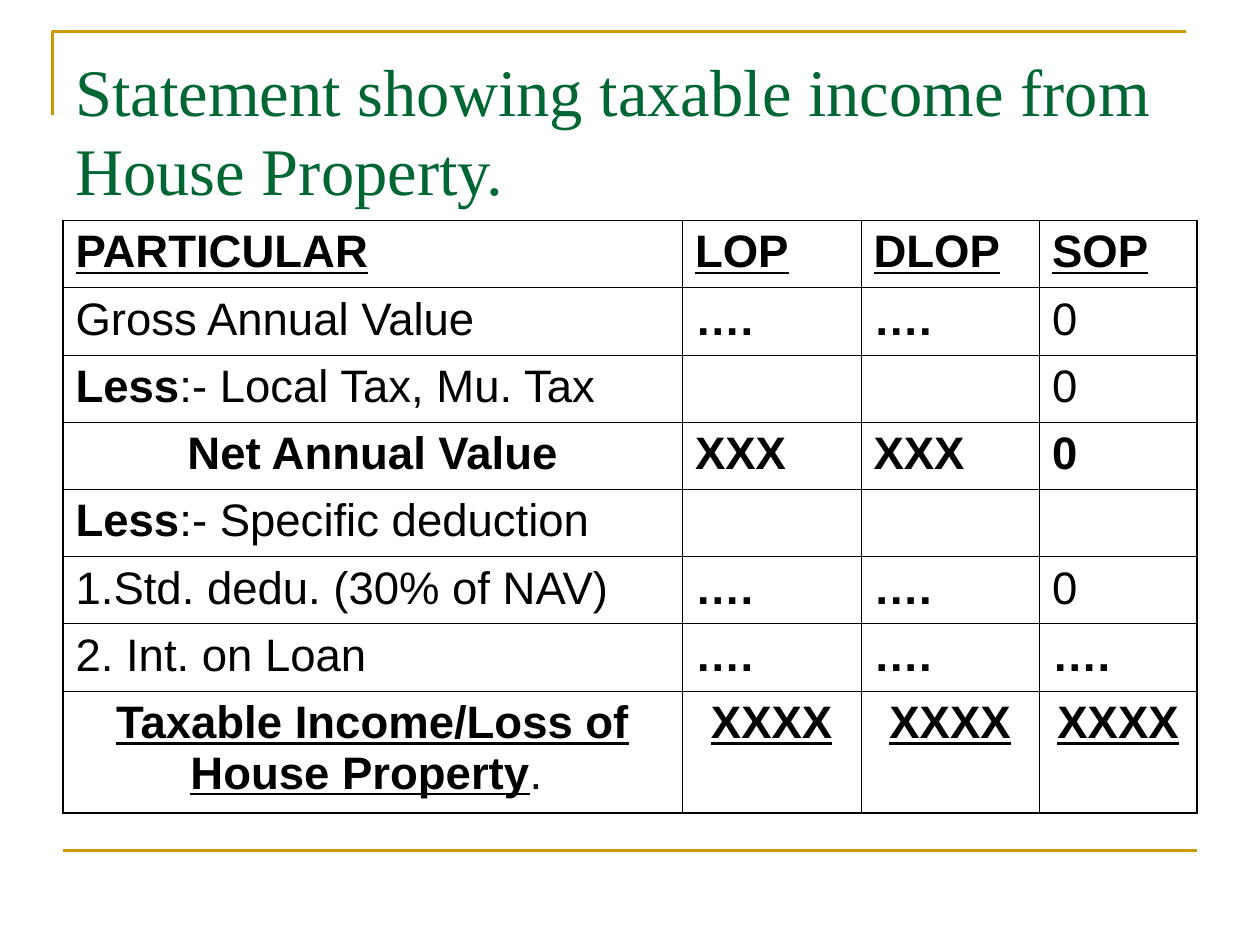
from dataclasses import dataclass

from lxml.etree import SubElement
from pptx import Presentation
from pptx.dml.color import RGBColor
from pptx.enum.shapes import MSO_CONNECTOR
from pptx.enum.text import MSO_ANCHOR, PP_ALIGN
from pptx.oxml import parse_xml
from pptx.oxml.ns import nsdecls, qn
from pptx.util import Pt

GOLD, GREEN, BLACK = "CC9900", "006633", "000000"
COLUMN_WIDTHS = (354, 102, 102, 90)
ROW_HEIGHTS = (38.4,) * 7 + (69.6,)
THIN, THICK = 0.45, 1.08


@dataclass(frozen=True)
class Span:
    text: str
    bold: bool = False
    underline: bool = False


@dataclass(frozen=True)
class Entry:
    spans: tuple[Span, ...] = ()
    centred: bool = False


def plain(text: str) -> Entry:
    return Entry((Span(text),))


def bold(text: str, centred: bool = False) -> Entry:
    return Entry((Span(text, True),), centred)


def heading(text: str, centred: bool = False) -> Entry:
    return Entry((Span(text, True, True),), centred)


def less(text: str) -> Entry:
    return Entry((Span("Less", True), Span(text)))


EMPTY, DOTS, ZERO = Entry(), bold("…."), plain("0")
XXX, XXXX = bold("XXX"), heading("XXXX", True)
TOTAL = Entry(
    (Span("Taxable Income/Loss of House Property", True, True), Span(". ")), True
)
STATEMENT = (
    (heading("PARTICULAR"), heading("LOP"), heading("DLOP"), heading("SOP")),
    (plain("Gross Annual Value"), DOTS, DOTS, ZERO),
    (less(":- Local Tax, Mu. Tax"), EMPTY, EMPTY, ZERO),
    (bold("Net Annual Value", True), XXX, XXX, bold("0")),
    (less(":- Specific deduction"), EMPTY, EMPTY, EMPTY),
    (plain("1.Std. dedu. (30% of NAV)"), DOTS, DOTS, ZERO),
    (plain("2. Int. on Loan"), DOTS, DOTS, DOTS),
    (TOTAL, XXXX, XXXX, XXXX),
)


def colour(value: str) -> RGBColor:
    return RGBColor.from_string(value)


def style_font(font, name: str, size: float, value: str) -> None:
    font.name, font.size = name, Pt(size)
    font.color.rgb = colour(value)


def style_line(line) -> None:
    line.color.rgb = colour(GOLD)
    line.width = Pt(1.5)


def draw_rules(s) -> None:
    builder = s.shapes.build_freeform(Pt(30), Pt(66))
    builder.add_line_segments([(Pt(30), Pt(18)), (Pt(678), Pt(18))], close=False)
    corner = builder.convert_to_shape()
    corner.shadow.inherit = False
    corner.fill.background()
    style_line(corner.line)

    footer = s.shapes.add_connector(
        MSO_CONNECTOR.STRAIGHT, Pt(36), Pt(486), Pt(684), Pt(486)
    )
    style_line(footer.line)
    SubElement(footer._element.spPr, qn("a:effectLst"))


def draw_title(s, text: str) -> None:
    sp = s.shapes.add_textbox(Pt(36), Pt(21.6), Pt(648), Pt(90))
    tf = sp.text_frame
    tf.word_wrap = True
    tf.vertical_anchor = MSO_ANCHOR.TOP
    tf.margin_top = Pt(7.6)
    tf.text = text
    p = tf.paragraphs[0]
    p.line_spacing = Pt(45)
    style_font(p.runs[0].font, "Times New Roman", 38, GREEN)


def set_borders(cell, row: int, column: int) -> None:
    outer = {
        "lnL": column == 0,
        "lnR": column == len(COLUMN_WIDTHS) - 1,
        "lnT": row == 0,
        "lnB": row == len(ROW_HEIGHTS) - 1,
    }
    tc_pr = cell._tc.get_or_add_tcPr()
    for i, (side, is_outer) in enumerate(outer.items()):
        width = Pt(THICK if is_outer else THIN)
        border = parse_xml(
            f'<a:{side} {nsdecls("a")} w="{width}"><a:solidFill>'
            f'<a:srgbClr val="{BLACK}"/></a:solidFill></a:{side}>'
        )
        tc_pr.insert(i, border)


def fill_cell(cell, entry: Entry) -> None:
    cell.fill.background()
    p = cell.text_frame.paragraphs[0]
    p.space_before = Pt(6.5)
    p.alignment = PP_ALIGN.CENTER if entry.centred else PP_ALIGN.LEFT
    for span in entry.spans:
        r = p.add_run()
        r.text = span.text
        style_font(r.font, "Arial", 26, BLACK)
        r.font.bold, r.font.underline = span.bold, span.underline


def draw_statement(s) -> None:
    table = s.shapes.add_table(
        len(ROW_HEIGHTS), len(COLUMN_WIDTHS), Pt(36), Pt(126),
        Pt(sum(COLUMN_WIDTHS)), Pt(sum(ROW_HEIGHTS)),
    ).table
    table.first_row = table.horz_banding = False
    for column, width in zip(table.columns, COLUMN_WIDTHS):
        column.width = Pt(width)
    for i, (height, entries) in enumerate(zip(ROW_HEIGHTS, STATEMENT)):
        table.rows[i].height = Pt(height)
        for j, entry in enumerate(entries):
            cell = table.cell(i, j)
            fill_cell(cell, entry)
            set_borders(cell, i, j)


def main() -> None:
    prs = Presentation()
    prs.slide_width, prs.slide_height = Pt(720), Pt(540)
    s = prs.slides.add_slide(prs.slide_layouts[6])
    draw_rules(s)
    draw_title(s, "Statement showing taxable income from House Property.")
    draw_statement(s)
    prs.save("out.pptx")


if __name__ == "__main__":
    main()
